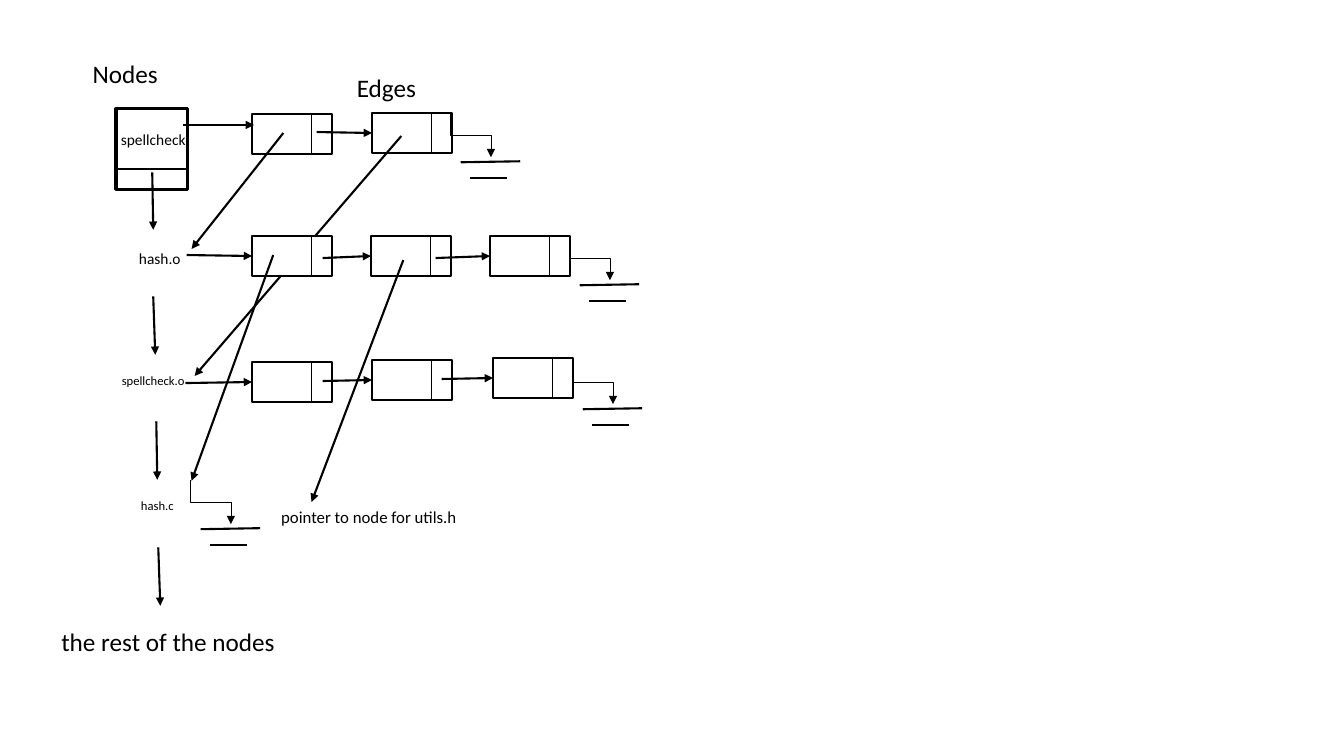
from lxml import etree
from pptx import Presentation
from pptx.dml.color import RGBColor
from pptx.enum.shapes import MSO_CONNECTOR, MSO_SHAPE
from pptx.enum.text import MSO_AUTO_SIZE
from pptx.oxml.ns import qn
from pptx.util import Inches, Pt

STRAIGHT, ELBOW = MSO_CONNECTOR.STRAIGHT, MSO_CONNECTOR.ELBOW
RECTANGLE = MSO_SHAPE.RECTANGLE
GROW = MSO_AUTO_SIZE.SHAPE_TO_FIT_TEXT
BLACK = RGBColor(0, 0, 0)
WHITE = RGBColor(255, 255, 255)
LEFT_SIDE = 1
THIN, NORMAL, THICK = 0.5, 1.5, 2.25

# text, left, top, width, height, size
LABELS = [
    ("Nodes", 0.82, 0.53, 0.91, 0.4, 18),
    ("Edges", 3.44, 0.67, 0.82, 0.4, 18),
    ("spellcheck", 1.1, 1.24, 0.88, 0.29, 11),
    ("hash.o", 1.28, 2.42, 0.9, 0.29, 11),
    ("spellcheck.o", 1.11, 3.65, 1.04, 0.25, 9),
    ("hash.c", 1.3, 4.89, 1.04, 0.25, 9),
    ("the rest of the nodes", 0.51, 6.16, 2.62, 0.4, 18),
    ("pointer to node for utils.h", 2.69, 4.98, 3.16, 0.3, 12),
]
NODE = (1.15, 1.08, 0.71, 0.8)
NODE_DIVIDER_Y = 1.68
CELL_WIDTH, CELL_HEIGHT, CELL_DIVIDER = 0.79, 0.4, 0.59

# left and top of each edge cell, by node
EDGE_CELLS = {
    "spellcheck": [(2.5, 1.13), (3.69, 1.12)],
    "hash.o": [(2.5, 2.34), (3.68, 2.34), (4.86, 2.34)],
    "spellcheck.o": [(2.5, 3.59), (3.69, 3.57), (4.89, 3.55)],
}
# start of the arrow that leads into each cell
LINK_STARTS = {
    "spellcheck": [(1.82, 1.24), (3.14, 1.31)],
    "hash.o": [(1.85, 2.53), (3.2, 2.56), (4.32, 2.56)],
    "spellcheck.o": [(1.84, 3.8), (3.2, 3.78), (4.38, 3.76)],
}
FIRST_LINK_END = (2.52, 1.24)
NULL_STARTS = [(4.47, 1.12), (5.65, 2.34), (5.68, 3.57), (1.89, 4.76)]
NULL_BARS = [((0.1, 0.49), (0.69, 0.48)), ((0.19, 0.65), (0.56, 0.65))]
NULL_RUN, NULL_DROP = 0.4, 0.44

NODE_ARROWS = [
    ((1.51, 1.71), (1.52, 2.28)),
    ((1.52, 2.94), (1.54, 3.52)),
    ((1.55, 4.18), (1.56, 4.76)),
    ((1.57, 5.43), (1.59, 6.01)),
]
POINTERS_BEHIND = [((4, 2.58), (3.09, 4.98)), ((3.98, 1.35), (1.93, 3.73))]
POINTERS_IN_FRONT = [((2.81, 1.32), (1.9, 2.47)), ((2.71, 2.53), (1.9, 4.77))]


def add_line(shapes, start, end, weight=NORMAL, arrow=False, kind=STRAIGHT):
    line = shapes.add_connector(kind, *map(Inches, (*start, *end)))
    line.line.color.rgb = BLACK
    line.line.width = Pt(weight)
    if arrow:
        etree.SubElement(line.line._get_or_add_ln(), qn("a:tailEnd"), type="triangle")
    etree.SubElement(line._element.spPr, qn("a:effectLst"))
    return line


def add_rectangle(shapes, bounds, weight, fill=None):
    box = shapes.add_shape(RECTANGLE, *map(Inches, bounds))
    box.shadow.inherit = False
    if fill is None:
        box.fill.background()
    else:
        box.fill.solid()
        box.fill.fore_color.rgb = fill
    box.line.color.rgb = BLACK
    box.line.width = Pt(weight)
    return box


def add_cell(shapes, left, top, fill):
    group = shapes.add_group_shape().shapes
    box = add_rectangle(group, (left, top, CELL_WIDTH, CELL_HEIGHT), NORMAL, fill)
    x = left + CELL_DIVIDER
    add_line(group, (x, top), (x, top + CELL_HEIGHT), THIN)
    return box


def add_null(shapes, x, y):
    """Draw the ground symbol that ends a list, with its elbow arrow from (x, y)."""
    group = shapes.add_group_shape().shapes
    for (x1, y1), (x2, y2) in NULL_BARS:
        add_line(group, (x + x1, y + y1), (x + x2, y + y2))
    # Turned a quarter so that the elbow leaves downwards
    shift = (NULL_DROP - NULL_RUN) / 2
    left, top = x - shift, y + shift
    elbow = add_line(group, (left, top), (left + NULL_DROP, top + NULL_RUN),
                     THIN, True, ELBOW)
    frame = elbow._element.spPr.find(qn("a:xfrm"))
    frame.set("rot", "16200000")
    frame.set("flipH", "1")


def add_label(shapes, text, left, top, width, height, size):
    box = shapes.add_textbox(*map(Inches, (left, top, width, height)))
    frame = box.text_frame
    frame.word_wrap = True
    frame.auto_size = GROW
    frame.text = text
    font = frame.paragraphs[0].runs[0].font
    font.name, font.size, font.color.rgb = "Calibri", Pt(size), BLACK


def main():
    deck = Presentation()
    deck.slide_width, deck.slide_height = Inches(13.33), Inches(7.5)
    page = deck.slides.add_slide(deck.slide_layouts[6])
    shapes = page.shapes

    for start, end in POINTERS_BEHIND:
        add_line(shapes, start, end, arrow=True)

    node = shapes.add_group_shape().shapes
    add_rectangle(node, NODE, THICK)
    add_line(node, (NODE[0], NODE_DIVIDER_Y), (NODE[0] + NODE[2], NODE_DIVIDER_Y))

    for name, cells in EDGE_CELLS.items():
        for index, (left, top) in enumerate(cells):
            covers_pointer = name == "hash.o" and index == 0
            box = add_cell(shapes, left, top, WHITE if covers_pointer else None)
            start = LINK_STARTS[name][index]
            if name == "spellcheck" and index == 0:
                add_line(shapes, start, FIRST_LINK_END, arrow=True)
            else:
                link = add_line(shapes, start, (left, top + CELL_HEIGHT / 2), arrow=True)
                link.end_connect(box, LEFT_SIDE)

    for start in NULL_STARTS:
        add_null(shapes, *start)
    for start, end in NODE_ARROWS + POINTERS_IN_FRONT:
        add_line(shapes, start, end, arrow=True)
    for label in LABELS:
        add_label(shapes, *label)

    deck.save("out.pptx")


if __name__ == "__main__":
    main()
